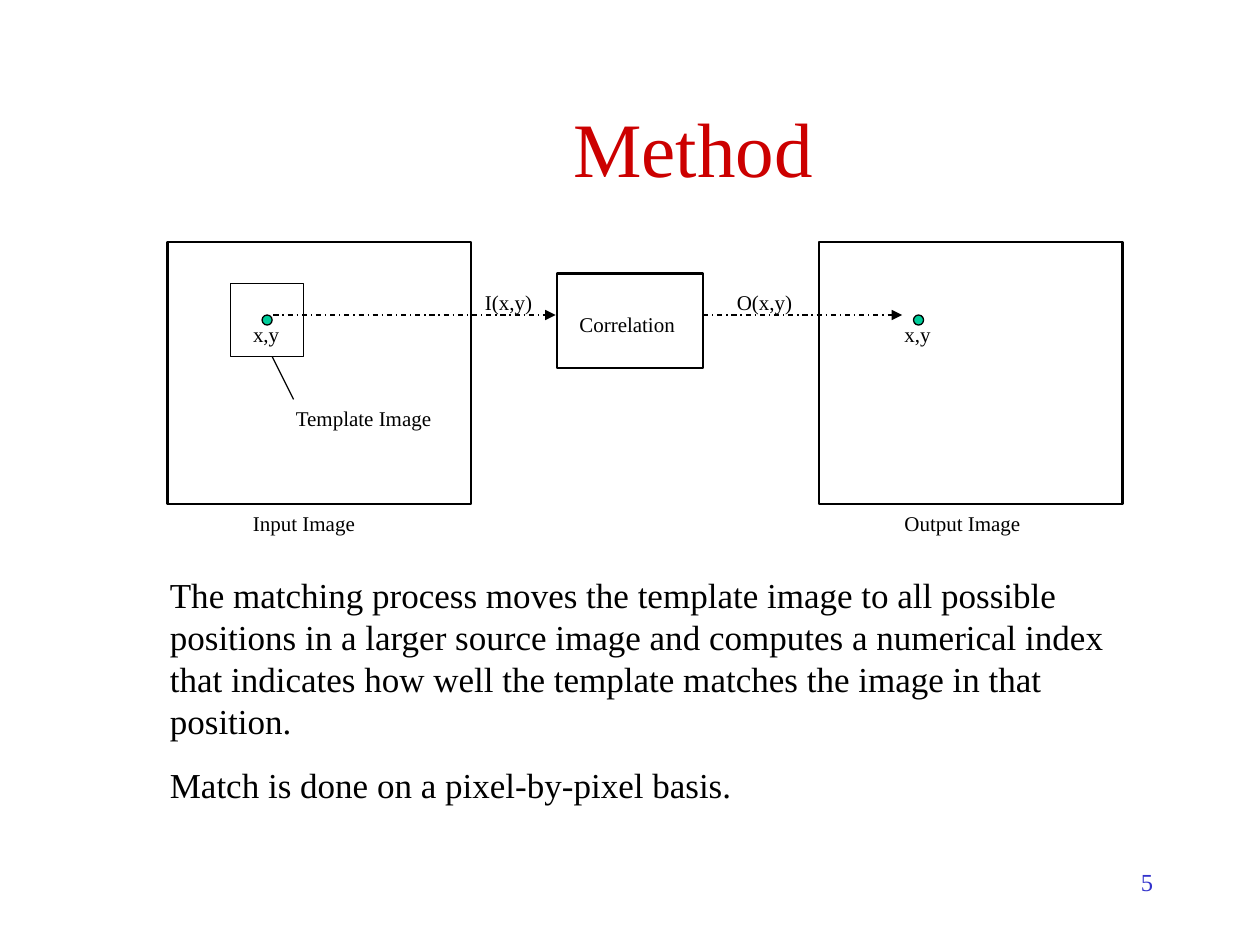
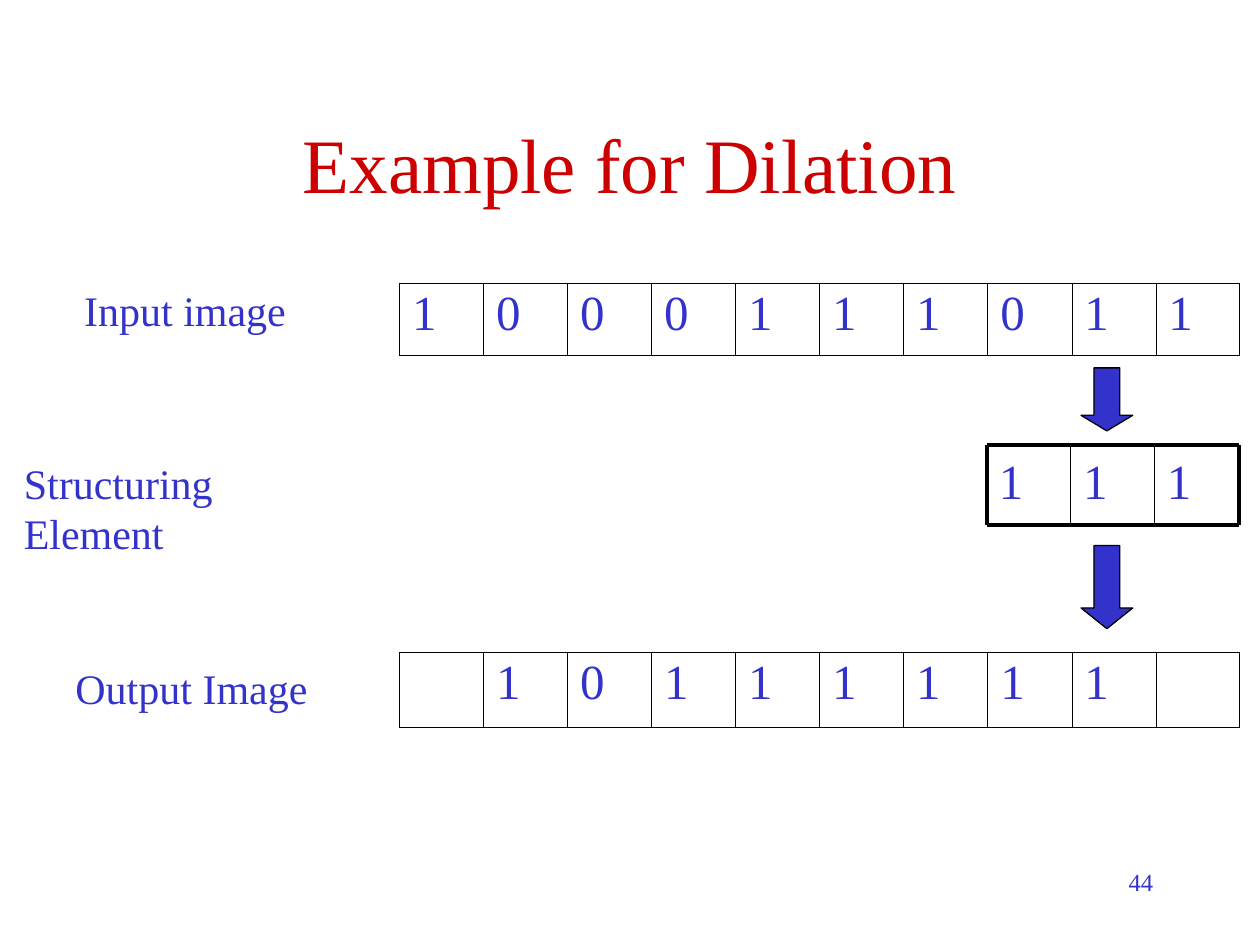
import pptx
import pptx.util
import pptx.dml.color
import pptx.enum.dml
import pptx.enum.shapes
import pptx.enum.text
import pptx.oxml
import pptx.oxml.ns
import lxml.etree

Inches = pptx.util.Inches
Pt = pptx.util.Pt
SHAPE = pptx.enum.shapes.MSO_SHAPE
ALIGN = pptx.enum.text.PP_ALIGN
DASH = pptx.enum.dml.MSO_LINE.DASH_DOT

FONT = "Times New Roman"
HUES = {"title": "CC0000", "blue": "3333CC", "ink": "000000", "dot": "00CC99"}


def color(name):
    return pptx.dml.color.RGBColor.from_string(HUES[name])


def add_tag(parent, tag, **attrs):
    node = lxml.etree.SubElement(parent, pptx.oxml.ns.qn(tag))
    for key, value in attrs.items():
        node.set(key, str(value))
    return node


def write(frame, text, size=12, hue="ink", align=ALIGN.LEFT, gap=0, space=None):
    """Fill a text frame, one paragraph a line, with gap points between them."""
    for i, line in enumerate(text.split("\n")):
        para = frame.paragraphs[0] if i == 0 else frame.add_paragraph()
        para.text = line
        para.alignment = align
        para.space_before = Pt(gap if i else 0)
        para.line_spacing = space
        para.font.size = Pt(size)
        para.font.name = FONT
        para.font.color.rgb = color(hue)


def label(slide, box, text, wrap=True, **style):
    frame = slide.shapes.add_textbox(*map(Inches, box)).text_frame
    frame.word_wrap = wrap
    write(frame, text, **style)


def draw(slide, kind, box, fill=None, width=0.75):
    shape = slide.shapes.add_shape(kind, *map(Inches, box))
    shape.shadow.inherit = False
    if fill:
        shape.fill.solid()
        shape.fill.fore_color.rgb = color(fill)
    else:
        shape.fill.background()
    shape.line.color.rgb = color("ink")
    shape.line.width = Pt(width)
    return shape


def link(slide, x1, y1, x2, y2, width=0.75, arrow=False):
    line = slide.shapes.add_connector(
        pptx.enum.shapes.MSO_CONNECTOR.STRAIGHT, *map(Inches, (x1, y1, x2, y2)))
    line.line.color.rgb = color("ink")
    line.line.width = Pt(width)
    if arrow:
        line.line.dash_style = DASH
        add_tag(line.line._get_or_add_ln(), "a:tailEnd", type="triangle")
    add_tag(line._element.spPr, "a:effectLst")


def start(deck, title, box, number):
    """Add a slide with its title and its number."""
    slide = deck.slides.add_slide(deck.slide_layouts[5])
    head = slide.shapes.title
    head.left, head.top, head.width, head.height = map(Inches, box)
    frame = head.text_frame
    frame.auto_size = pptx.enum.text.MSO_AUTO_SIZE.NONE
    frame.vertical_anchor = pptx.enum.text.MSO_ANCHOR.MIDDLE
    frame.margin_left = frame.margin_right = 0
    frame.margin_top = frame.margin_bottom = 0
    write(frame, title, size=44, hue="title", align=ALIGN.CENTER)
    label(slide, (7.17, 6.83, 2.08, 0.5), number, size=14, hue="blue",
          align=ALIGN.RIGHT)
    return slide


def panel(slide, x, y, name):
    """Draw an image frame with its marked pixel and its name below."""
    draw(slide, SHAPE.RECTANGLE, (x, y, 2.41, 2.08), width=1.5)
    draw(slide, SHAPE.OVAL, (x + 0.75, y + 0.58, 0.08, 0.08), fill="dot")
    label(slide, (x + 0.58, y + 0.58, 0.42, 0.3), "x,y")
    label(slide, (x + 0.58, y + 2.08, 1.2, 0.3), name)


def diagram(slide, x, y):
    draw(slide, SHAPE.RECTANGLE, (x + 0.5, y + 0.33, 0.58, 0.58))
    panel(slide, x, y, "Input Image")
    panel(slide, x + 5.17, y, "Output Image")
    draw(slide, SHAPE.RECTANGLE, (x + 3.09, y + 0.25, 1.16, 0.75), width=1.5)
    for left, top, wide, text in [
            (0.92, 1.25, 1.33, "Template Image"), (2.42, 0.33, 0.66, "I(x,y)"),
            (4.42, 0.33, 0.66, "O(x,y)"), (3.17, 0.5, 1, "Correlation")]:
        label(slide, (x + left, y + top, wide, 0.3), text)
    link(slide, x + 1, y + 1.25, x + 0.83, y + 0.91)
    for tail, tip in [(0.84, 3.08), (4.25, 5.83)]:
        link(slide, x + tail, y + 0.58, x + tip, y + 0.58, arrow=True)


def border(cell, first, last):
    """Rule a cell, with the outer sides of the row heavier."""
    props = cell._tc.get_or_add_tcPr()
    sides = {"L": 0.5 if first else 0.23, "R": 0.5 if last else 0.23,
             "T": 0.5, "B": 0.5}
    for side, width in sides.items():
        line = add_tag(props, f"a:ln{side}", w=int(Pt(width)))
        add_tag(add_tag(line, "a:solidFill"), "a:srgbClr", val=HUES["ink"])
    cell.fill.background()


def bit_row(slide, box, bits):
    """Draw a one-row table; a blank in bits leaves its cell empty."""
    count = len(bits)
    table = slide.shapes.add_table(1, count, *map(Inches, box)).table
    table.first_row = table.horz_banding = False
    for i, bit in enumerate(bits):
        table.columns[i].width = Inches(box[2] / count)
        cell = table.cell(0, i)
        write(cell.text_frame, bit.strip(), size=28, hue="blue", space=0.93)
        border(cell, i == 0, i == count - 1)


def window(slide, x, y, wide, high, bits):
    """Draw the structuring element as a ruled strip of bits."""
    count = len(bits)
    step = wide / count
    for i, bit in enumerate(bits):
        label(slide, (x + i * step, y, step, high), bit, size=28, hue="blue")
    for top in (y, y + high):
        link(slide, x, top, x + wide, top, width=2.25)
    for i in range(count + 1):
        left = x + i * step
        link(slide, left, y, left, y + high,
             width=2.25 if i in (0, count) else 1)


def down(slide, box, head):
    arrow = draw(slide, SHAPE.DOWN_ARROW, box, fill="blue")
    arrow.adjustments[0] = 0.5
    arrow.adjustments[1] = head


def method(deck):
    slide = start(deck, "Method", (1.25, 0.75, 8.5, 0.83), "5")
    diagram(slide, 1.33, 1.92)
    label(slide, (1.25, 4.5, 8, 1.94),
          "The matching process moves the template image to all possible "
          "positions in a larger source image and computes a numerical index "
          "that indicates how well the template matches the image in that "
          "position.\nMatch is done on a pixel-by-pixel basis.",
          size=20, gap=12.5)


def dilate(deck):
    slide = start(deck, "Example for Dilation", (0.75, 0.67, 8.5, 1.25), "44")
    bit_row(slide, (3.17, 2.25, 6.67, 0.57), "1000111011")
    bit_row(slide, (3.17, 5.18, 6.67, 0.59), " 10111111 ")
    for x, y, wide, text in [(0.57, 2.21, 1.8, "Input image"),
                             (0.09, 3.58, 2.89, "Structuring Element"),
                             (0.5, 5.21, 2.04, "Output Image")]:
        label(slide, (x, y, wide, 0.5), text, wrap=False, size=24, hue="blue")
    window(slide, 7.83, 3.53, 2, 0.64, "111")
    down(slide, (8.58, 2.92, 0.41, 0.5), 0.3)
    down(slide, (8.58, 4.33, 0.41, 0.66), 0.4)


def main():
    deck = pptx.Presentation()
    deck.slide_width, deck.slide_height = Inches(10), Inches(7.5)
    method(deck)
    dilate(deck)
    deck.save("out.pptx")


if __name__ == "__main__":
    main()
